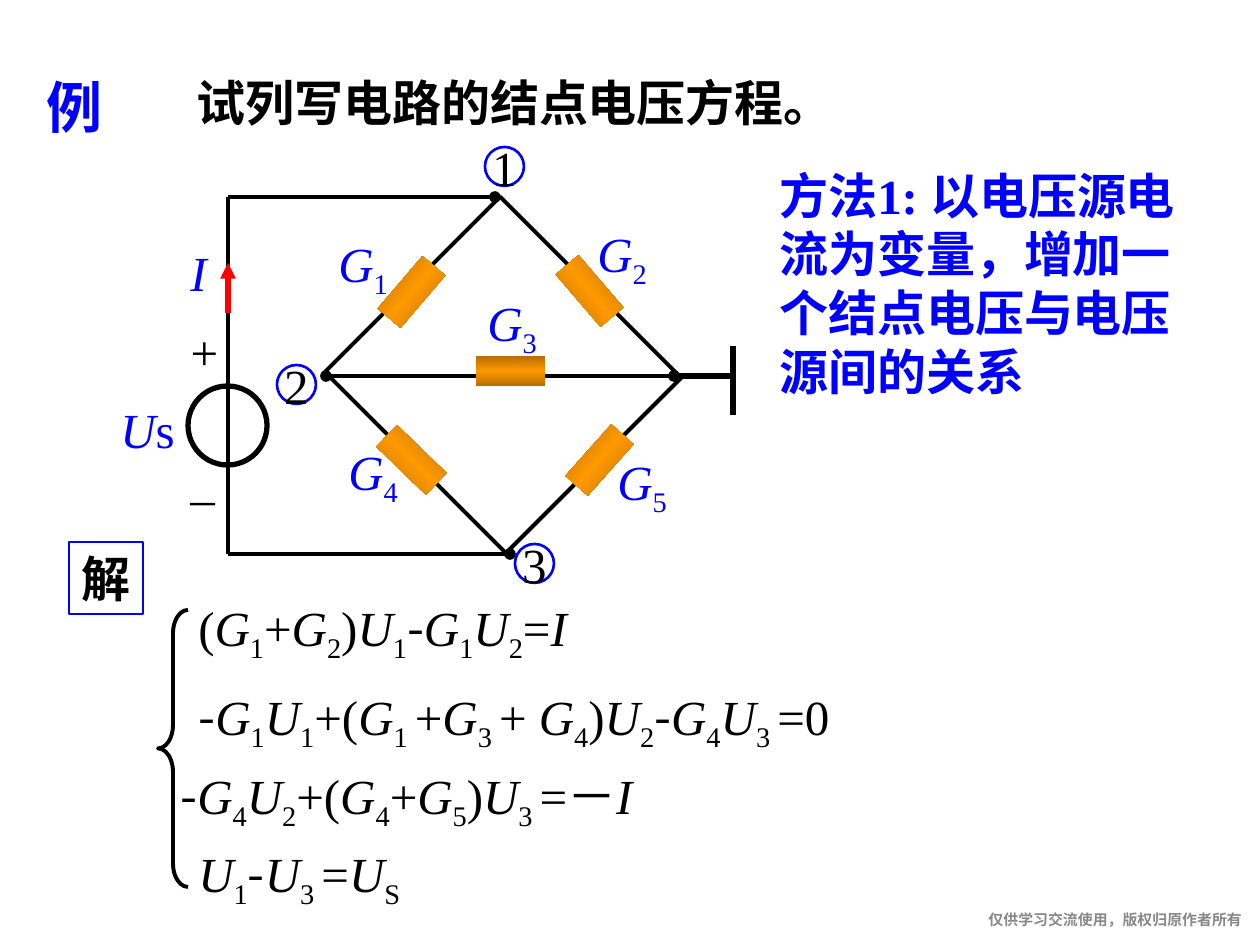
from copy import deepcopy

from lxml import etree
from pptx import Presentation
from pptx import util as u
from pptx.dml import color
from pptx.enum import shapes, text
from pptx.oxml import ns

SCALE = 914400 / 126
SERIF, SANS = "Times New Roman", "Noto Sans CJK SC"
BLACK, BLUE, RED, GREY = "000000", "0000FF", "FF0000", "888888"
LEFT, CENTER, RIGHT = text.PP_ALIGN.LEFT, text.PP_ALIGN.CENTER, text.PP_ALIGN.RIGHT
TOP, MIDDLE = text.MSO_ANCHOR.TOP, text.MSO_ANCHOR.MIDDLE
GROW, FIXED = text.MSO_AUTO_SIZE.SHAPE_TO_FIT_TEXT, text.MSO_AUTO_SIZE.NONE


def hex_color(value):
    return color.RGBColor.from_string(value)


def write(holder, markup, ink=BLACK, size=28, bold=False, align=LEFT,
          anchor=TOP, wrap=False, fit=GROW, face=SERIF):
    frame = holder.text_frame
    for name, value in {"word_wrap": wrap, "auto_size": fit, "vertical_anchor": anchor}.items():
        setattr(frame, name, value)
    paragraph = frame.paragraphs[0]
    paragraph.alignment = align
    for token in markup.split("|"):
        run = paragraph.add_run()
        run.text = token.lstrip("~")
        look = {"size": u.Pt(size), "bold": bold, "italic": token in ("G", "U", "I"),
                "name": SANS if token == "-" else face}
        for name, value in look.items():
            setattr(run.font, name, value)
        run.font.color.rgb = hex_color(ink)
        properties = run.font._element
        etree.SubElement(properties, ns.qn("a:ea"), typeface=SANS)
        if token.startswith("~"):
            properties.set("baseline", "-25000")


deck = Presentation()
deck.slide_width, deck.slide_height = u.Inches(10), u.Inches(7.5)
slide = deck.slides.add_slide(deck.slide_layouts[5])

title = slide.shapes.title
for side, px in {"left": 184, "top": 66, "width": 794, "height": 72}.items():
    setattr(title, side, round(px * SCALE))
write(title, "试列写电路的结点电压方程。", bold=True, wrap=True)

outlines = [
    (shapes.MSO_SHAPE.LEFT_BRACE, (158, 610, 30, 277), BLACK, 2.25, 0),
    (shapes.MSO_SHAPE.RECTANGLE, (69, 542, 74, 72), BLUE, 0.75, 0),
    (shapes.MSO_SHAPE.OVAL, (188, 386, 79, 79), BLACK, 3, 0),
    (shapes.MSO_SHAPE.RECTANGLE, (375, 251, 256, 248), BLACK, 2.25, 45),
    (shapes.MSO_SHAPE.OVAL, (485, 147, 39, 39), BLUE, 1.5, 0),
    (shapes.MSO_SHAPE.OVAL, (277, 365, 39, 39), BLUE, 1.5, 0),
    (shapes.MSO_SHAPE.OVAL, (515, 544, 39, 39), BLUE, 1.5, 0),
]
drawn = []
for kind, box, ink, weight, turn in outlines:
    outline = slide.shapes.add_shape(kind, *(round(px * SCALE) for px in box))
    outline.shadow.inherit = False
    outline.fill.background()
    outline.line.color.rgb = hex_color(ink)
    outline.line.width = u.Pt(weight)
    outline.rotation = turn
    drawn.append(outline)
brace, solution, source, bridge, *nodes = drawn
brace.adjustments[0] = 0.78
write(solution, "解", bold=True, wrap=True, face="Arial")
for number, node in enumerate(nodes, 1):
    write(node, str(number), align=CENTER, anchor=MIDDLE, fit=FIXED)

wires = [
    ((228, 197), (228, 554), BLACK, 2.25, {}),
    ((733, 415), (733, 346), BLACK, 3, {}),
    ((674, 376), (736, 376), BLACK, 3, {}),
    ((510, 554), (228, 554), BLACK, 2.25, {"headEnd": "oval"}),
    ((495, 197), (228, 197), BLACK, 2.25, {"headEnd": "oval"}),
    ((326, 376), (674, 376), BLACK, 2.25, {"headEnd": "oval", "tailEnd": "oval"}),
    ((228, 313), (228, 263), RED, 3, {"tailEnd": "triangle"}),
]
for start, end, ink, weight, tips in wires:
    wire = slide.shapes.add_connector(
        shapes.MSO_CONNECTOR.STRAIGHT, *(round(px * SCALE) for px in start + end))
    wire.line.color.rgb = hex_color(ink)
    wire.line.width = u.Pt(weight)
    for tip, form in tips.items():
        etree.SubElement(wire.line._get_or_add_ln(), ns.qn("a:" + tip), type=form)
    etree.SubElement(wire.element.spPr, ns.qn("a:effectLst"))

resistors = [
    (565, 445, 311.7), (377, 445, 44.1), (555, 276, 49.4), (377, 277, 310.5), (476, 356, 0),
]
for left, top, turn in resistors:
    resistor = slide.shapes.add_shape(
        shapes.MSO_SHAPE.RECTANGLE, *(round(px * SCALE) for px in (left, top, 69, 30)))
    resistor.shadow.inherit = False
    resistor.line.fill.background()
    resistor.rotation = turn
    resistor.fill.gradient()
    resistor.fill.gradient_angle = 90
    stops = resistor.element.spPr.find(".//" + ns.qn("a:gsLst"))
    stops.append(deepcopy(stops[0]))
    for stop, place, shade in zip(
            resistor.fill.gradient_stops, (0, 0.5, 1), ("B66D00", "FF9900", "B66D00")):
        stop.position = place
        stop.color.rgb = hex_color(shade)

blue = {"ink": BLUE}
sign = {"align": CENTER, "anchor": MIDDLE}
labels = [
    ("例", (34, 66, 169, 79), {"ink": BLUE, "size": 32, "bold": True, "wrap": True}),
    ("方法1: 以电压源电流为变量，增加一个结点电压与电压源间的关系",
     (767, 159, 423, 251), {"ink": BLUE, "bold": True, "wrap": True}),
    ("U|s", (108, 393, 120, 72), {"ink": BLUE, "wrap": True}),
    ("G|~1", (326, 227, 77, 72), blue),
    ("G|~2", (585, 217, 77, 72), blue),
    ("G|~3", (475, 286, 77, 72), blue),
    ("G|~4", (336, 435, 77, 72), blue),
    ("G|~5", (605, 445, 77, 72), blue),
    ("I", (178, 236, 42, 72), blue),
    ("+", (178, 315, 53, 72), sign),
    ("_", (178, 444, 47, 72), {**sign, "wrap": True}),
    ("(|G|~1|+|G|~2|)|U|~1|-|G|~1|U|~2|=|I", (186, 591, 417, 72), {}),
    ("-|G|~1|U|~1|+(|G|~1 |+|G|~3 |+ |G|~4|)|U|~2|-|G|~4|U|~3 |=0", (186, 680, 699, 72), {}),
    ("-|G|~4|U|~2|+(|G|~4|+|G|~5|)|U|~3 |=－|I", (168, 759, 507, 72), {}),
    ("U|~1|-|U|~3 |=|U|~S", (186, 837, 258, 72), {}),
]
for words, box, look in labels:
    label = slide.shapes.add_textbox(*(round(px * SCALE) for px in box))
    write(label, words, **look)

notice = slide.shapes.add_textbox(*(round(px * SCALE) for px in (764, 911, 478, 28)))
for margin in ("margin_left", "margin_top", "margin_right", "margin_bottom"):
    setattr(notice.text_frame, margin, 0)
write(notice, "仅供学习交流使用，版权归原作者所有", ink=GREY, size=8.5, bold=True, align=RIGHT)

deck.save("out.pptx")
